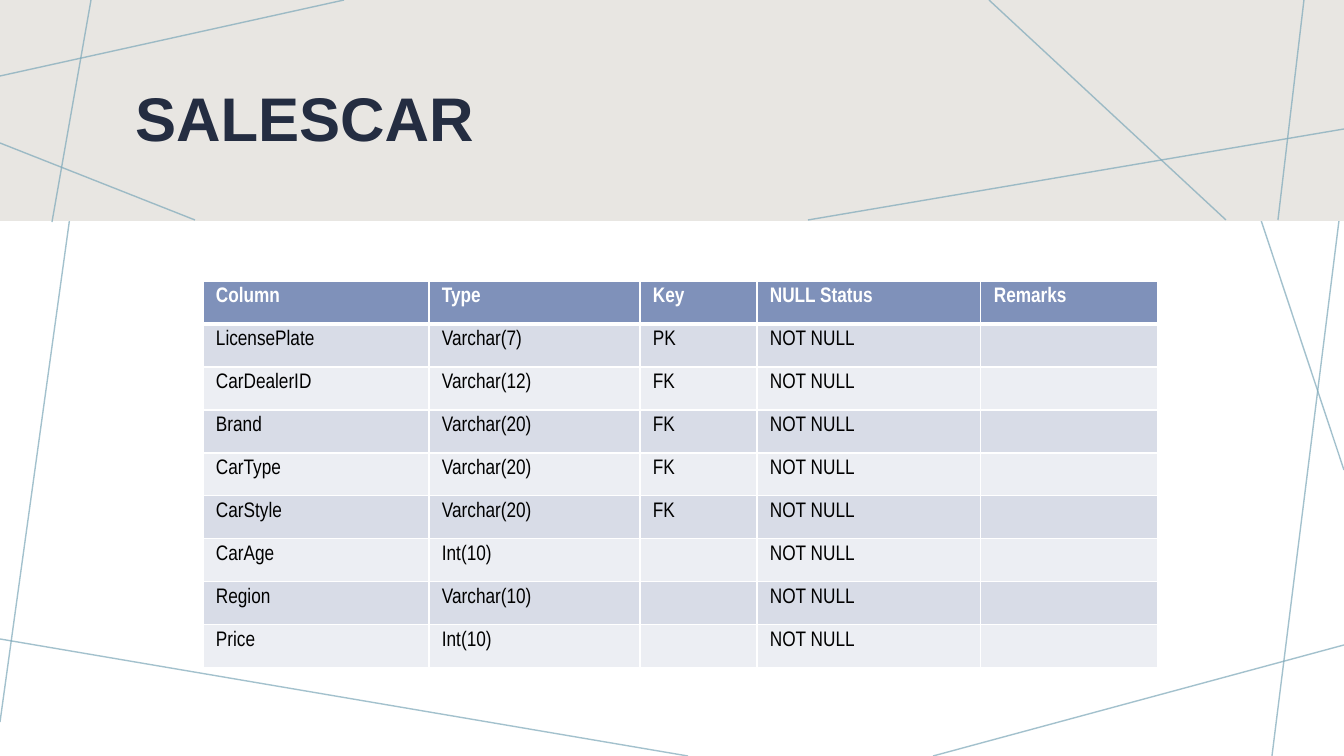
from lxml import etree
from pptx import Presentation
from pptx.dml.color import RGBColor
from pptx.enum.shapes import MSO_CONNECTOR, MSO_SHAPE
from pptx.enum.text import MSO_ANCHOR, MSO_AUTO_SIZE, PP_ALIGN
from pptx.oxml.ns import qn
from pptx.util import Pt

STRAIGHT = MSO_CONNECTOR.STRAIGHT
RECTANGLE = MSO_SHAPE.RECTANGLE
TOP, MIDDLE = MSO_ANCHOR.TOP, MSO_ANCHOR.MIDDLE
LEFT = PP_ALIGN.LEFT
NO_AUTOFIT = MSO_AUTO_SIZE.NONE

WHITE = RGBColor(0xFF, 0xFF, 0xFF)
BLACK = RGBColor(0x00, 0x00, 0x00)
NAVY = RGBColor(0x24, 0x2D, 0x41)
STONE = RGBColor(0xE8, 0xE6, 0xE2)
TEAL = RGBColor(0x7D, 0xA8, 0xB9)
HEADER_BLUE = RGBColor(0x7F, 0x91, 0xBA)
BAND_DARK = RGBColor(0xD8, 0xDC, 0xE7)
BAND_LIGHT = RGBColor(0xEC, 0xEE, 0xF3)

PAGE_WIDTH, PAGE_HEIGHT = 1344, 756
EMU_PER_PX = 12192000 / PAGE_WIDTH
TITLE_ONLY = 5

BODY_LINES = [
    (100, 0, 0, 722),
    (688, 756, 0, 639),
    (1344, 645, 933, 756),
    (1344, 181, 1272, 756),
    (1344, 470, 1188, 0),
]
BAND_LINES = [
    (344, 0, 0, 76),
    (91, 0, 52, 222),
    (195, 220, 0, 143),
    (1344, 129, 808, 220),
    (1226, 220, 989, 0),
    (1304, 0, 1278, 220),
]
COLUMN_WIDTHS = [226, 211, 117, 224, 177]
ROW_HEIGHT = 43
HEADINGS = ["Column", "Type", "Key", "NULL Status", "Remarks"]
FIELDS = [
    ("LicensePlate", "Varchar(7)", "PK"),
    ("CarDealerID", "Varchar(12)", "FK"),
    ("Brand", "Varchar(20)", "FK"),
    ("CarType", "Varchar(20)", "FK"),
    ("CarStyle", "Varchar(20)", "FK"),
    ("CarAge", "Int(10)", ""),
    ("Region", "Varchar(10)", ""),
    ("Price", "Int(10)", ""),
]


def px(length):
    return round(length * EMU_PER_PX)


def apply(target, values):
    for name, value in values.items():
        setattr(target, name, value)


class Deck:
    title_font = {"name": "Arial", "size": Pt(44), "bold": True}
    cell_font = {"name": "Arial Narrow", "size": Pt(15)}
    cell_format = {
        "margin_left": px(13),
        "margin_right": px(13),
        "margin_top": px(6),
        "margin_bottom": px(6),
        "vertical_anchor": TOP,
    }

    def __init__(self):
        self.file = Presentation()
        apply(self.file, {"slide_width": px(PAGE_WIDTH), "slide_height": px(PAGE_HEIGHT)})
        self.page = self.file.slides.add_slide(self.file.slide_layouts[TITLE_ONLY])
        self.shapes = self.page.shapes

    def line(self, *ends):
        connector = self.shapes.add_connector(STRAIGHT, *map(px, ends))
        connector.line.width = Pt(1)
        connector.line.color.rgb = TEAL
        properties = connector._element.spPr
        color = properties.find(".//" + qn("a:srgbClr"))
        etree.SubElement(color, qn("a:alpha"), val="70000")
        etree.SubElement(properties, qn("a:effectLst"))

    def band(self, *bounds):
        box = self.shapes.add_shape(RECTANGLE, *map(px, bounds))
        box.shadow.inherit = False
        box.fill.solid()
        box.fill.fore_color.rgb = STONE
        box.line.fill.background()

    def title(self, text, *bounds):
        box = self.shapes.title
        apply(box, dict(zip(("left", "top", "width", "height"), map(px, bounds))))
        self.shapes._spTree.append(box._element)
        frame = box.text_frame
        apply(frame, {"word_wrap": True, "auto_size": NO_AUTOFIT, "vertical_anchor": MIDDLE})
        para = frame.paragraphs[0]
        apply(para, {"alignment": LEFT, "line_spacing": 0.9})
        self.span(para, text, self.title_font, NAVY)

    def span(self, para, text, font, color):
        span = para.add_run()
        span.text = text
        apply(span.font, font)
        span.font.color.rgb = color

    def borders(self, cell, widths):
        properties = cell._tc.get_or_add_tcPr()
        for side, width in widths.items():
            edge = etree.SubElement(properties, qn("a:ln" + side), w=str(Pt(width)))
            fill = etree.SubElement(edge, qn("a:solidFill"))
            etree.SubElement(fill, qn("a:srgbClr"), val=str(WHITE))

    def table(self, left, top, widths, row_height, rows):
        frame = self.shapes.add_table(
            len(rows), len(widths), px(left), px(top), px(sum(widths)), px(row_height * len(rows))
        )
        table = frame.table
        for column, width in zip(table.columns, widths):
            column.width = px(width)
        for index, (row, texts) in enumerate(zip(table.rows, rows)):
            row.height = px(row_height)
            heading = index == 0
            fill = HEADER_BLUE if heading else (BAND_LIGHT, BAND_DARK)[index % 2]
            edges = {"L": 1, "R": 1, "T": 3 if index == 1 else 1, "B": 3 if heading else 1}
            for cell, text in zip(row.cells, texts):
                apply(cell, self.cell_format)
                self.borders(cell, edges)
                cell.fill.solid()
                cell.fill.fore_color.rgb = fill
                para = cell.text_frame.paragraphs[0]
                if text:
                    font = {**self.cell_font, "bold": heading}
                    self.span(para, text, font, WHITE if heading else BLACK)


def main():
    deck = Deck()
    for ends in BODY_LINES:
        deck.line(*ends)
    deck.band(0, 0, PAGE_WIDTH, 221)
    for ends in BAND_LINES:
        deck.line(*ends)
    deck.title("SALESCAR", 125, 54, 1110, 135)
    rows = [HEADINGS] + [[*field, "NOT NULL", ""] for field in FIELDS]
    deck.table(203, 281, COLUMN_WIDTHS, ROW_HEIGHT, rows)
    deck.file.save("out.pptx")


if __name__ == "__main__":
    main()
